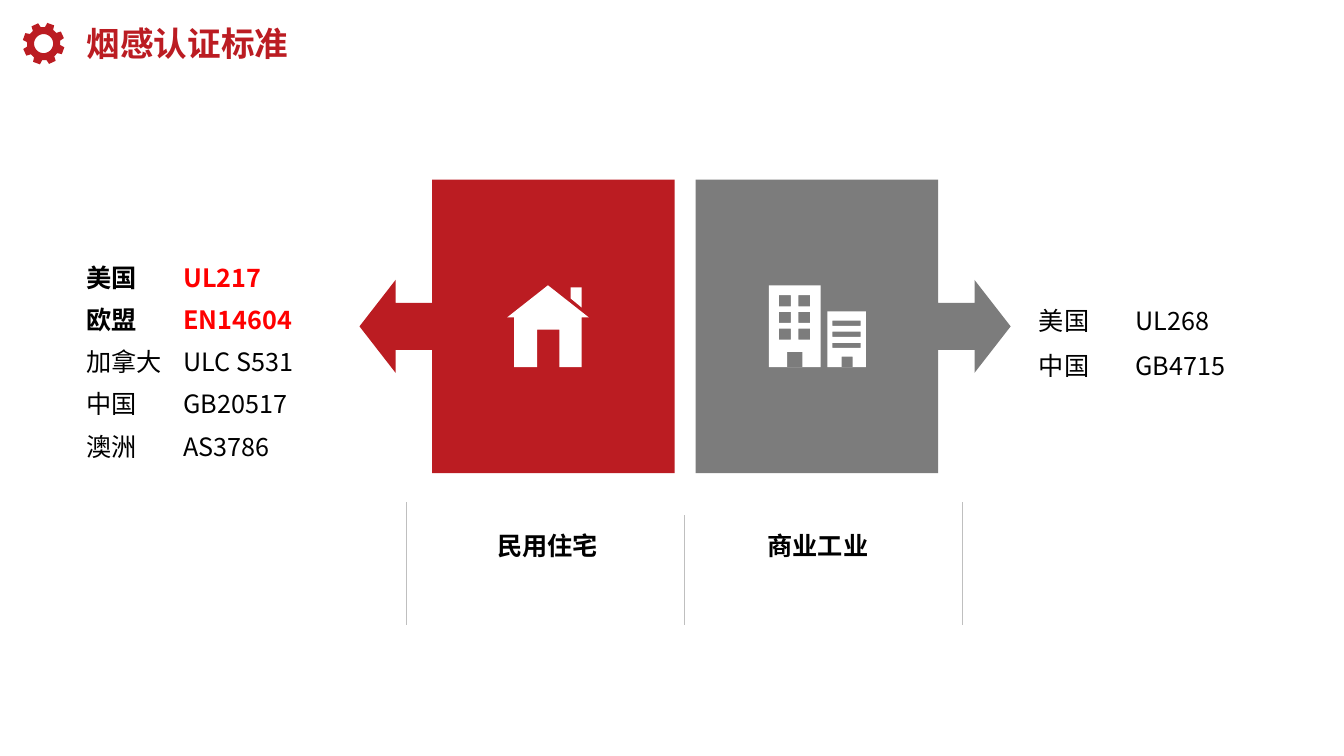
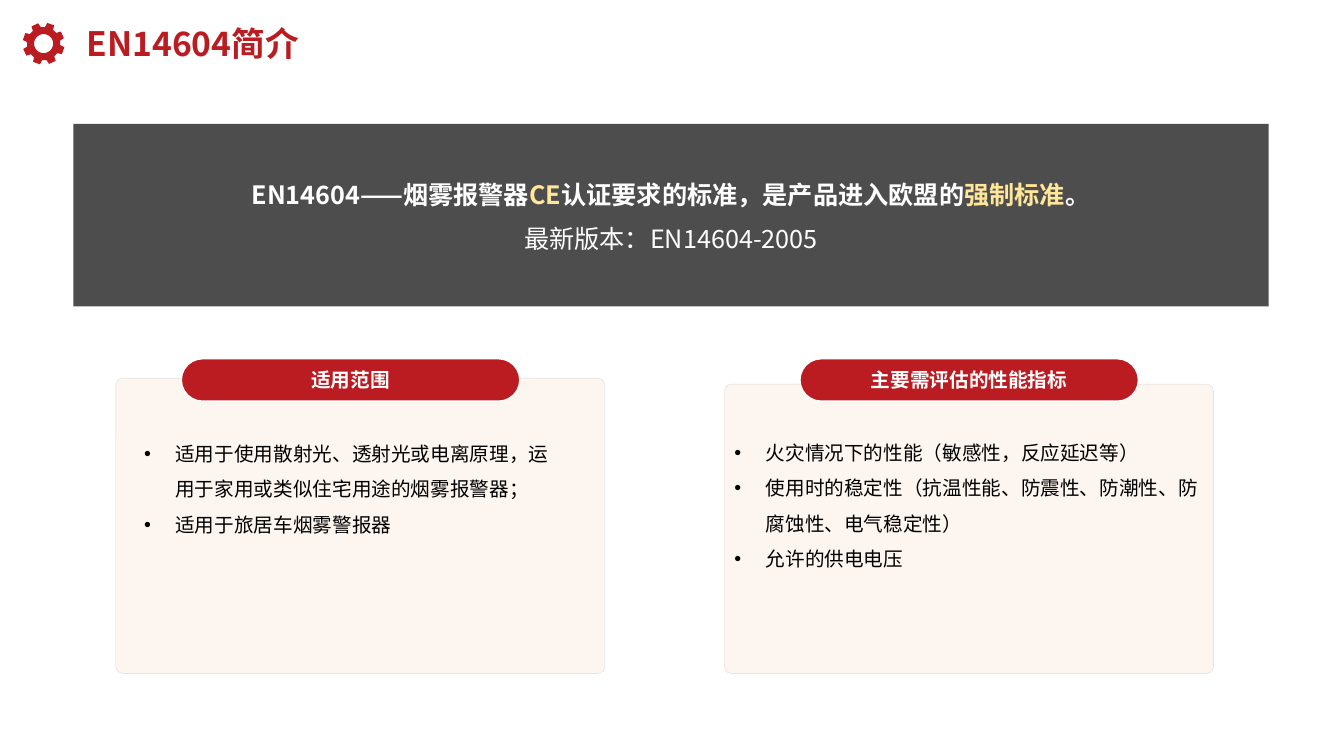
import dataclasses
import math

import lxml.etree
import pptx
import pptx.dml.color
import pptx.enum.shapes
import pptx.enum.text
import pptx.oxml.ns
import pptx.util

Cm = pptx.util.Cm
Shape = pptx.enum.shapes.MSO_SHAPE
Align = pptx.enum.text.PP_ALIGN
Anchor = pptx.enum.text.MSO_ANCHOR


@dataclasses.dataclass(frozen=True)
class Theme:
    font: str = "Noto Sans CJK SC"
    brand: str = "BB1C22"
    gray: str = "7C7C7C"
    banner: str = "4D4D4D"
    card: str = "FDF5EF"
    card_line: str = "D9D9D9"
    divider: str = "BFBFBF"
    accent: str = "FF0000"
    gold: str = "FFE699"
    black: str = "000000"
    white: str = "FFFFFF"
    title_size: int = 24
    lead_size: int = 18
    body_size: int = 14


THEME = Theme()


@dataclasses.dataclass(frozen=True)
class Box:
    left: float
    top: float
    width: float
    height: float

    @property
    def right(self):
        return self.left + self.width

    @property
    def middle(self):
        return self.top + self.height / 2

    def lengths(self):
        return [Cm(value) for value in (self.left, self.top, self.width, self.height)]


@dataclasses.dataclass(frozen=True)
class Span:
    text: str
    colour: str = THEME.black
    bold: bool = False


def rgb(colour):
    return pptx.dml.color.RGBColor.from_string(colour)


def add_xml(parent, tag, **attributes):
    return lxml.etree.SubElement(parent, pptx.oxml.ns.qn(tag), attributes)


def paint(shape, fill, line=None, weight=0.25):
    shape.shadow.inherit = False
    shape.fill.solid()
    shape.fill.fore_color.rgb = rgb(fill)
    if line:
        shape.line.color.rgb = rgb(line)
        shape.line.width = pptx.util.Pt(weight)
    else:
        shape.line.fill.background()


def format_run(run, size, colour, bold):
    run.font.name = THEME.font
    add_xml(run.font._element, "a:ea", typeface=THEME.font)
    run.font.size = pptx.util.Pt(size)
    run.font.color.rgb = rgb(colour)
    run.font.bold = bold


def write(frame, paragraphs, size, align=Align.LEFT, anchor=Anchor.TOP,
          spacing=None, bullet=False, tab=None):
    frame.word_wrap = True
    frame.auto_size = pptx.enum.text.MSO_AUTO_SIZE.NONE
    frame.vertical_anchor = anchor
    frame.text = "\n".join("" for _ in paragraphs)
    for para, spans in zip(frame.paragraphs, paragraphs):
        para.alignment = align
        if spacing:
            para.line_spacing = spacing
        properties = para._p.get_or_add_pPr()
        if bullet:
            indent = Cm(0.79)
            properties.set("marL", str(indent))
            properties.set("indent", str(-indent))
            add_xml(properties, "a:buFont", typeface="Arial")
            add_xml(properties, "a:buChar", char="•")
        if tab:
            tabs = add_xml(properties, "a:tabLst")
            add_xml(tabs, "a:tab", pos=str(Cm(tab)), algn="l")
        for span in spans:
            run = para.add_run()
            run.text = span.text
            format_run(run, size, span.colour, span.bold)


def add_text(page, box, paragraphs, size, **style):
    write(page.shapes.add_textbox(*box.lengths()).text_frame, paragraphs, size, **style)


def add_outline(page, contours, colour, left=0, top=0):
    builder = None
    for contour in contours:
        points = [(Cm(left + x), Cm(top + y)) for x, y in contour]
        if builder is None:
            builder = page.shapes.build_freeform(*points[0], scale=1.0)
        else:
            builder.move_to(*points[0])
        builder.add_line_segments(points[1:], close=True)
    shape = builder.convert_to_shape()
    paint(shape, colour)
    return shape


def rectangle(left, top, width, height):
    return [(left, top), (left + width, top),
            (left + width, top + height), (left, top + height)]


def polar(centre, radius, degrees):
    angle = math.radians(degrees)
    return centre + radius * math.sin(angle), centre - radius * math.cos(angle)


def add_gear(page, centre=1.1):
    profile = [(0.42, -15), (0.53, -10), (0.53, 10), (0.42, 15)]
    rim = [polar(centre, radius, 20 + 45 * tooth + offset)
           for tooth in range(8) for radius, offset in profile]
    hole = [polar(centre, 0.24, degrees) for degrees in range(0, 360, 10)]
    return add_outline(page, [rim, hole], THEME.brand)


def add_page(deck, title):
    page = deck.slides.add_slide(deck.slide_layouts[5])
    holder = page.shapes.title
    holder.left, holder.top, holder.width, holder.height = Box(1.93, 0.53, 9.14, 1.12).lengths()
    write(holder.text_frame, [[Span(title, THEME.brand, True)]], THEME.title_size,
          anchor=Anchor.MIDDLE)
    return page


def add_arrow_panel(page, box, colour, points_left):
    neck, reach = 0.92, 1.83
    half_neck, half_head = 0.59, 1.17
    right, middle = box.right, box.middle
    points = [
        (box.left, box.top), (right, box.top),
        (right, middle - half_neck), (right + neck, middle - half_neck),
        (right + neck, middle - half_head), (right + reach, middle),
        (right + neck, middle + half_head), (right + neck, middle + half_neck),
        (right, middle + half_neck), (right, box.top + box.height),
        (box.left, box.top + box.height),
    ]
    if points_left:
        points = [(box.left + right - x, y) for x, y in points]
    add_outline(page, [points], colour)


def add_house(page, left, top):
    chimney = [(1.6, 0.05), (1.6, 0.33), (1.88, 0.56), (1.88, 0.05)]
    body = [(0, 0.81), (0.18, 0.81), (0.18, 2.06), (0.76, 2.06), (0.76, 1.12), (1.32, 1.12),
            (1.32, 2.06), (1.88, 2.06), (1.88, 0.81), (2.06, 0.81), (1.03, 0)]
    add_outline(page, [chimney, body], THEME.white, left, top)


def add_buildings(page, left, top):
    tower = rectangle(0, 0, 1.3, 2.06)
    annex = rectangle(1.47, 0.66, 0.97, 1.4)
    doors = [rectangle(0.46, 1.68, 0.38, 0.38), rectangle(1.83, 1.8, 0.28, 0.26)]
    windows = [rectangle(x, 0.25 + 0.42 * row, 0.3, 0.28)
               for x in (0.25, 0.74) for row in range(3)]
    bars = [rectangle(1.6, 0.89 + 0.28 * row, 0.71, 0.13) for row in range(3)]
    add_outline(page, [tower, annex, *doors, *windows, *bars], THEME.white, left, top)


def add_standards(page, box, rows, spacing):
    paragraphs = [
        [Span(region + "\t", bold=key),
         Span(code, THEME.accent if key else THEME.black, key)]
        for region, code, key in rows
    ]
    add_text(page, box, paragraphs, THEME.lead_size, spacing=spacing, tab=2.44)


def add_caption(page, box, text):
    add_text(page, box, [[Span(text, bold=True)]], THEME.lead_size,
             align=Align.CENTER, anchor=Anchor.BOTTOM)


def add_divider(page, x, top, bottom):
    line = page.shapes.add_connector(pptx.enum.shapes.MSO_CONNECTOR.STRAIGHT,
                                     Cm(x), Cm(top), Cm(x), Cm(bottom))
    line.line.color.rgb = rgb(THEME.divider)
    line.line.width = pptx.util.Pt(0.25)
    add_xml(line._element.spPr, "a:effectLst")


def add_banner(page, box, lines):
    paint(page.shapes.add_shape(Shape.RECTANGLE, *box.lengths()), THEME.banner)
    for index, spans in enumerate(lines):
        line_box = Box(box.left, box.top + 1.27 + 1.1 * index, box.width, 1.02)
        add_text(page, line_box, [spans], THEME.lead_size,
                 align=Align.CENTER, anchor=Anchor.MIDDLE)


def add_card(page, box, pill_left, heading, body, items):
    card = page.shapes.add_shape(Shape.ROUNDED_RECTANGLE, *box.lengths())
    card.adjustments[0] = 0.024
    paint(card, THEME.card, THEME.card_line)
    pill_box = Box(box.left + pill_left, 9.04, 8.53, 1.07)
    pill = page.shapes.add_shape(Shape.ROUNDED_RECTANGLE, *pill_box.lengths())
    pill.adjustments[0] = 0.5
    paint(pill, THEME.brand, THEME.white, 1)
    write(pill.text_frame, [[Span(heading, THEME.white, True)]], THEME.body_size,
          align=Align.CENTER, anchor=Anchor.MIDDLE)
    add_text(page, body, [[Span(item)] for item in items], THEME.body_size,
             spacing=1.5, bullet=True)


def build_standards_page(deck):
    page = add_page(deck, "烟感认证标准")
    add_arrow_panel(page, Box(17.53, 4.53, 6.11, 7.39), THEME.gray, False)
    add_arrow_panel(page, Box(10.89, 4.53, 6.11, 7.39), THEME.brand, True)
    add_house(page, 12.78, 7.19)
    add_buildings(page, 19.38, 7.19)
    add_standards(page, Box(1.93, 6.17, 6.86, 5.77), [
        ("美国", "UL217", True),
        ("欧盟", "EN14604", True),
        ("加拿大", "ULC S531", False),
        ("中国", "GB20517", False),
        ("澳洲", "AS3786", False),
    ], 1.4)
    add_standards(page, Box(25.93, 7.19, 5.97, 2.29), [
        ("美国", "UL268", False),
        ("中国", "GB4715", False),
    ], 1.5)
    for left, caption in ((10.87, "民用住宅"), (17.68, "商业工业")):
        add_caption(page, Box(left, 13.18, 5.87, 1.07), caption)
    for index, top in enumerate((12.65, 12.98, 12.65)):
        add_divider(page, 10.24 + 7 * index, top, 15.76)
    return page


def build_introduction_page(deck):
    page = add_page(deck, "EN14604简介")
    add_banner(page, Box(1.85, 3.12, 30.12, 4.6), [
        [Span("EN14604——烟雾报警器", THEME.white, True),
         Span("CE", THEME.gold, True),
         Span("认证要求的标准，是产品进入欧盟的", THEME.white, True),
         Span("强制标准", THEME.gold, True),
         Span("。", THEME.white, True)],
        [Span("最新版本：EN14604-2005", THEME.white)],
    ])
    add_card(page, Box(2.92, 9.53, 12.32, 7.44), 1.65, "适用范围", Box(3.38, 10.72, 10.9, 3.33), [
        "适用于使用散射光、透射光或电离原理，运用于家用或类似住宅用途的烟雾报警器；",
        "适用于旅居车烟雾警报器",
    ])
    add_card(page, Box(18.26, 9.68, 12.32, 7.29), 1.9, "主要需评估的性能指标",
             Box(18.26, 10.69, 12.32, 4.57), [
                 "火灾情况下的性能（敏感性，反应延迟等）",
                 "使用时的稳定性（抗温性能、防震性、防潮性、防腐蚀性、电气稳定性）",
                 "允许的供电电压",
             ])


def main():
    deck = pptx.Presentation()
    deck.slide_width, deck.slide_height = Cm(33.87), Cm(19.05)
    first_page = build_standards_page(deck)
    build_introduction_page(deck)
    deck.slide_layouts[5].shapes.element.append(add_gear(first_page).element)
    deck.save("out.pptx")


if __name__ == "__main__":
    main()
